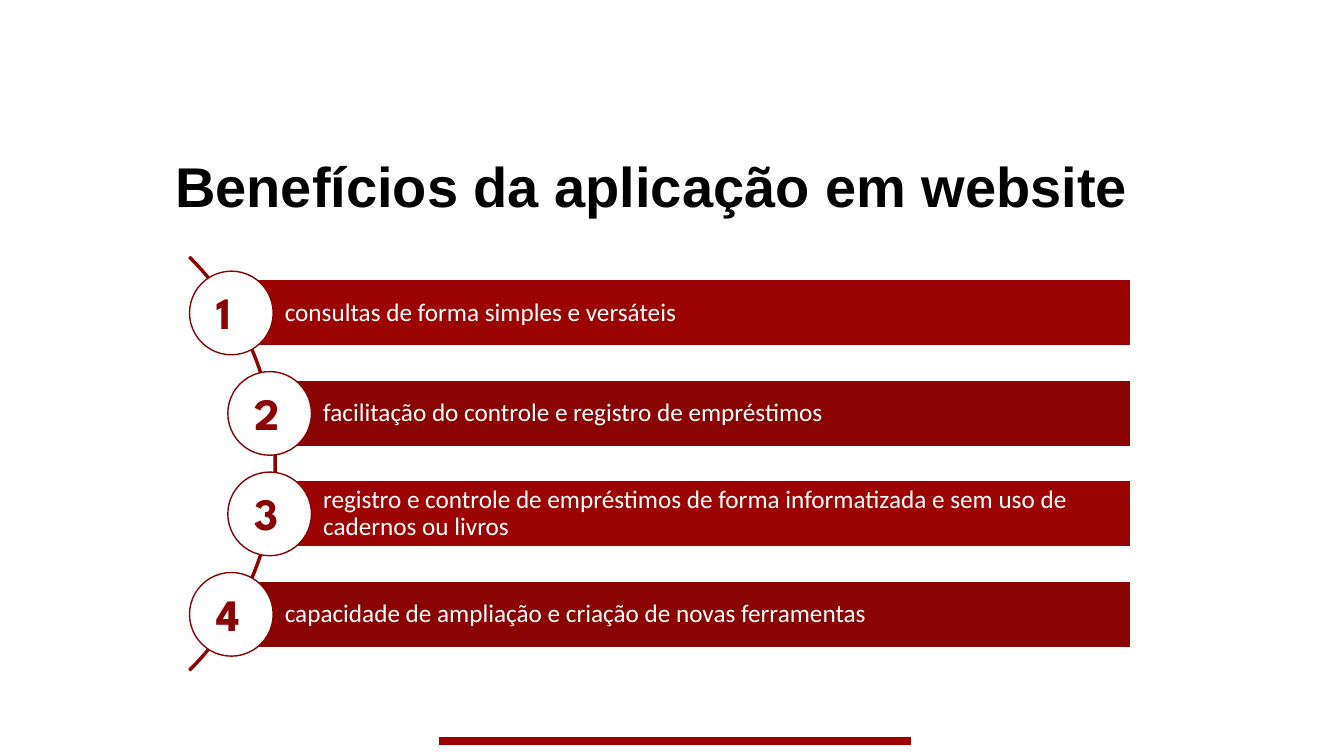
from pptx import Presentation
from pptx.dml.color import RGBColor
from pptx.enum.shapes import MSO_CONNECTOR, MSO_SHAPE
from pptx.enum.text import MSO_ANCHOR, PP_ALIGN
from pptx.oxml.ns import qn
from pptx.util import Inches, Pt
from lxml.etree import SubElement

WIDE, HIGH = 13.33, 7.5
RED, DARK, WHITE, BLACK = "9C0404", "8A0404", "FFFFFF", "000000"
ITEMS = [
    "consultas de forma simples e versáteis",
    "facilitação do controle e registro de empréstimos",
    "registro e controle de empréstimos de forma informatizada e sem uso de cadernos ou livros",
    "capacidade de ampliação e criação de novas ferramentas",
]


def color(code):
    return RGBColor.from_string(code)


def draw(slide, kind, box, fill, line):
    shape = slide.shapes.add_shape(kind, *map(Inches, box))
    shape.shadow.inherit = False
    shape.fill.solid()
    shape.fill.fore_color.rgb = color(fill)
    shape.line.color.rgb = color(line)
    shape.line.width = Pt(1)
    return shape


def write(shape, text, size, font, code, bold=False, gaps=(0.1, 0.05, 0.1, 0.05),
          anchor=MSO_ANCHOR.MIDDLE, space=0.9):
    frame = shape.text_frame
    frame.word_wrap = True
    frame.vertical_anchor = anchor
    (frame.margin_left, frame.margin_top,
     frame.margin_right, frame.margin_bottom) = map(Inches, gaps)
    line = frame.paragraphs[0]
    line.alignment = PP_ALIGN.LEFT
    line.line_spacing = space
    run = line.add_run()
    run.text = text
    run.font.size = Pt(size)
    run.font.name = font
    run.font.bold = bold
    run.font.color.rgb = color(code)


def add_title(slide, box):
    write(slide.shapes.add_textbox(*map(Inches, box)),
          "Benefícios da aplicação em website", 40, "Arial", BLACK, True)


def add_footer(slide, box):
    left, top, width, _ = box
    rule = slide.shapes.add_connector(
        MSO_CONNECTOR.STRAIGHT, *map(Inches, (left, top, left + width, top)))
    rule.line.color.rgb = color("9E0000")
    rule.line.width = Pt(6)
    SubElement(rule._element.spPr, qn("a:effectLst"))


def add_arc(slide, box):
    arc = draw(slide, MSO_SHAPE.BLOCK_ARC, box, DARK, DARK)
    for i, value in enumerate((189, 27, 0.02 / box[2])):
        arc.adjustments[i] = value


def add_item(slide, box, number, text, fill):
    left, top, width, size = box
    thick = 0.66
    bar = draw(slide, MSO_SHAPE.RECTANGLE,
               (left + size / 2, top + (size - thick) / 2, width - size / 2, thick),
               fill, WHITE)
    write(bar, text, 18, "Calibri", WHITE, gaps=(0.53, 0.05, 0.05, 0.05))
    draw(slide, MSO_SHAPE.OVAL, (left, top, size, size), WHITE, DARK)
    label = slide.shapes.add_textbox(
        *map(Inches, (left + 0.17, top + 0.09, 0.48, 0.64)))
    write(label, str(number), 32, "League Spartan", DARK, True,
          anchor=MSO_ANCHOR.TOP, space=1.0)


def add_list(slide, box):
    left, top, width, height = box
    size, arc = 0.83, 5.81
    add_arc(slide, (left + 0.86 - arc, top + (height - arc) / 2, arc, arc))
    step = (height - size) / (len(ITEMS) - 1)
    for i, text in enumerate(ITEMS):
        shift = 0.38 if 0 < i < len(ITEMS) - 1 else 0
        add_item(slide, (left + shift, top + i * step, width - shift, size),
                 i + 1, text, (RED, DARK)[i % 2])


def main():
    deck = Presentation()
    deck.slide_width, deck.slide_height = Inches(WIDE), Inches(HIGH)
    slide = deck.slides.add_slide(deck.slide_layouts[6])
    add_footer(slide, (4.35, HIGH * 0.98, 4.69, 0))
    add_title(slide, (1.64, 1.15, 10.05, 1.45))
    add_list(slide, (1.88, 2.69, 9.34, 3.82))
    deck.save("out.pptx")


if __name__ == "__main__":
    main()
